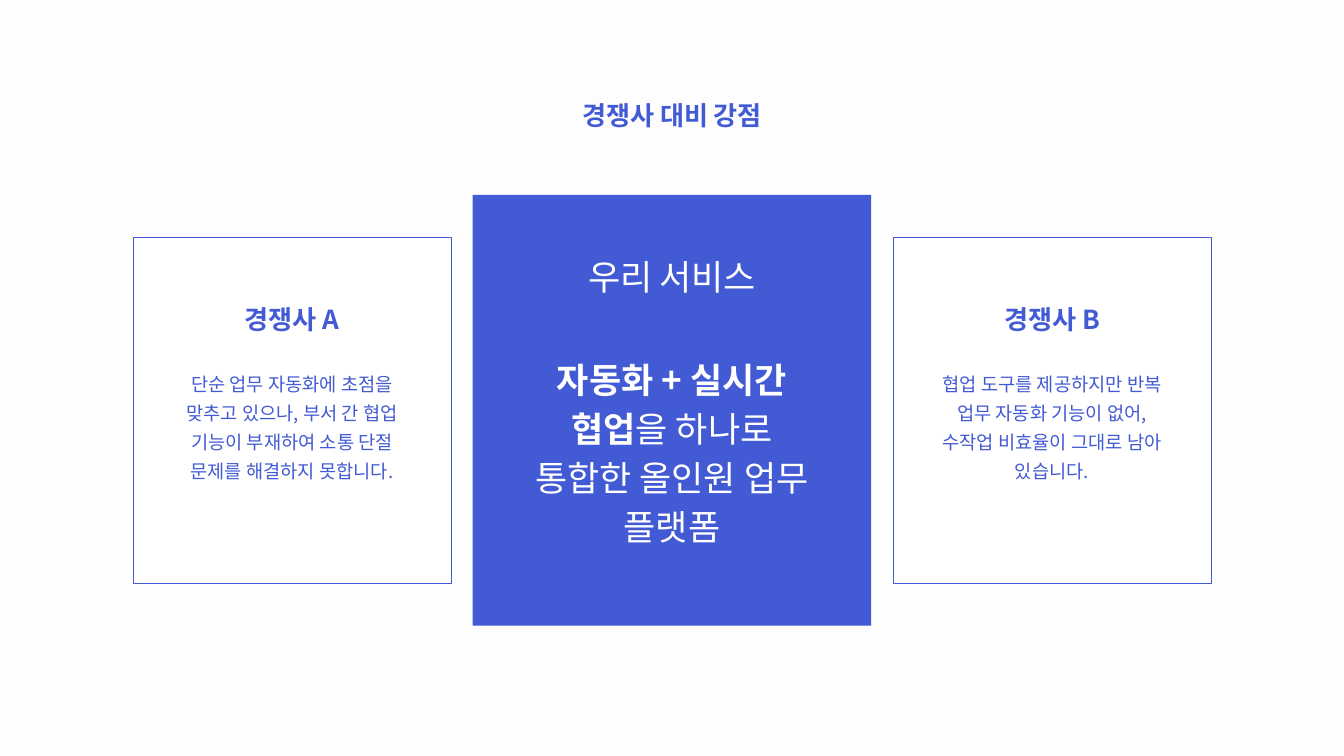
import dataclasses

import pptx
import pptx.dml.color
import pptx.enum.shapes
import pptx.enum.text
import pptx.oxml
import pptx.oxml.ns
import pptx.util

Inches = pptx.util.Inches
Pt = pptx.util.Pt
Color = pptx.dml.color.RGBColor


@dataclasses.dataclass(frozen=True)
class TextStyle:
    size: float
    leading: float
    color: Color
    bold: bool = False
    tracking: int = 0


class Theme:
    font = "Noto Sans CJK KR"
    background = Color.from_string("FDFDFD")
    blue = Color.from_string("425AD4")
    white = Color.from_string("FFFFFF")
    border = 0.75
    heading = TextStyle(28, 39.2, blue, bold=True)
    body = TextStyle(20, 31, blue)
    service = TextStyle(37.5, 52.5, white)
    service_name = TextStyle(37.5, 52.5, white, tracking=-40)


def add_panel(page, center, top, width, height, fill, line=None):
    panel = page.shapes.add_shape(
        pptx.enum.shapes.MSO_SHAPE.RECTANGLE,
        Inches(center - width / 2), Inches(top), Inches(width), Inches(height))
    panel.shadow.inherit = False
    panel.fill.solid()
    panel.fill.fore_color.rgb = fill
    if line is None:
        panel.line.fill.background()
    else:
        panel.line.color.rgb = line
        panel.line.width = Pt(Theme.border)


def format_span(span, style, bold):
    span.font.name = Theme.font
    span.font.size = Pt(style.size)
    span.font.bold = bold
    span.font.color.rgb = style.color
    properties = span._r.get_or_add_rPr()
    if style.tracking:
        properties.set("spc", str(style.tracking))
    east_asian = pptx.oxml.parse_xml(
        f'<a:ea {pptx.oxml.ns.nsdecls("a")} typeface="{Theme.font}"/>')
    properties.find(pptx.oxml.ns.qn("a:latin")).addnext(east_asian)


def add_label(page, center, top, width, height, text, style, strong=""):
    box = page.shapes.add_textbox(
        Inches(center - width / 2), Inches(top), Inches(width), Inches(height))
    frame = box.text_frame
    frame.word_wrap = True
    frame.auto_size = pptx.enum.text.MSO_AUTO_SIZE.SHAPE_TO_FIT_TEXT
    frame.margin_left = frame.margin_right = 0
    frame.margin_top = frame.margin_bottom = 0
    para = frame.paragraphs[0]
    para.alignment = pptx.enum.text.PP_ALIGN.CENTER
    para.line_spacing = Pt(style.leading)
    if strong:
        span = para.add_run()
        span.text = strong
        format_span(span, style, True)
    span = para.add_run()
    span.text = text
    format_span(span, style, style.bold)


def add_competitor(page, center, name, description):
    add_panel(page, center, 3.53, 4.73, 5.15, Theme.white, Theme.blue)
    add_label(page, center, 4.43, 4.2, 0.54, name, Theme.heading)
    add_label(page, center, 5.45, 3.36, 2.14, description, Theme.body)


def add_service(page, center, name, strong, description):
    add_panel(page, center, 2.9, 5.93, 6.41, Theme.blue)
    add_label(page, center, 3.7, 4.95, 0.71, name, Theme.service_name)
    add_label(page, center, 5.23, 4.2, 2.17, description, Theme.service, strong)


def main():
    deck = pptx.Presentation()
    deck.slide_width = Inches(20)
    deck.slide_height = Inches(11.25)
    page = deck.slides.add_slide(deck.slide_layouts[6])
    page.background.fill.solid()
    page.background.fill.fore_color.rgb = Theme.background

    middle = 10
    offset = 5.655
    add_label(page, middle, 1.4, 7.42, 0.54, "경쟁사 대비 강점", Theme.heading)
    add_competitor(
        page, middle - offset, "경쟁사 A",
        "단순 업무 자동화에 초점을 맞추고 있으나, 부서 간 협업 "
        "기능이 부재하여 소통 단절 문제를 해결하지 못합니다.")
    add_service(
        page, middle, "우리 서비스", "자동화 + 실시간 협업",
        "을 하나로 통합한 올인원 업무 플랫폼")
    add_competitor(
        page, middle + offset, "경쟁사 B",
        "협업 도구를 제공하지만 반복 업무 자동화 기능이 없어, "
        "수작업 비효율이 그대로 남아 있습니다.")
    deck.save("out.pptx")


if __name__ == "__main__":
    main()
